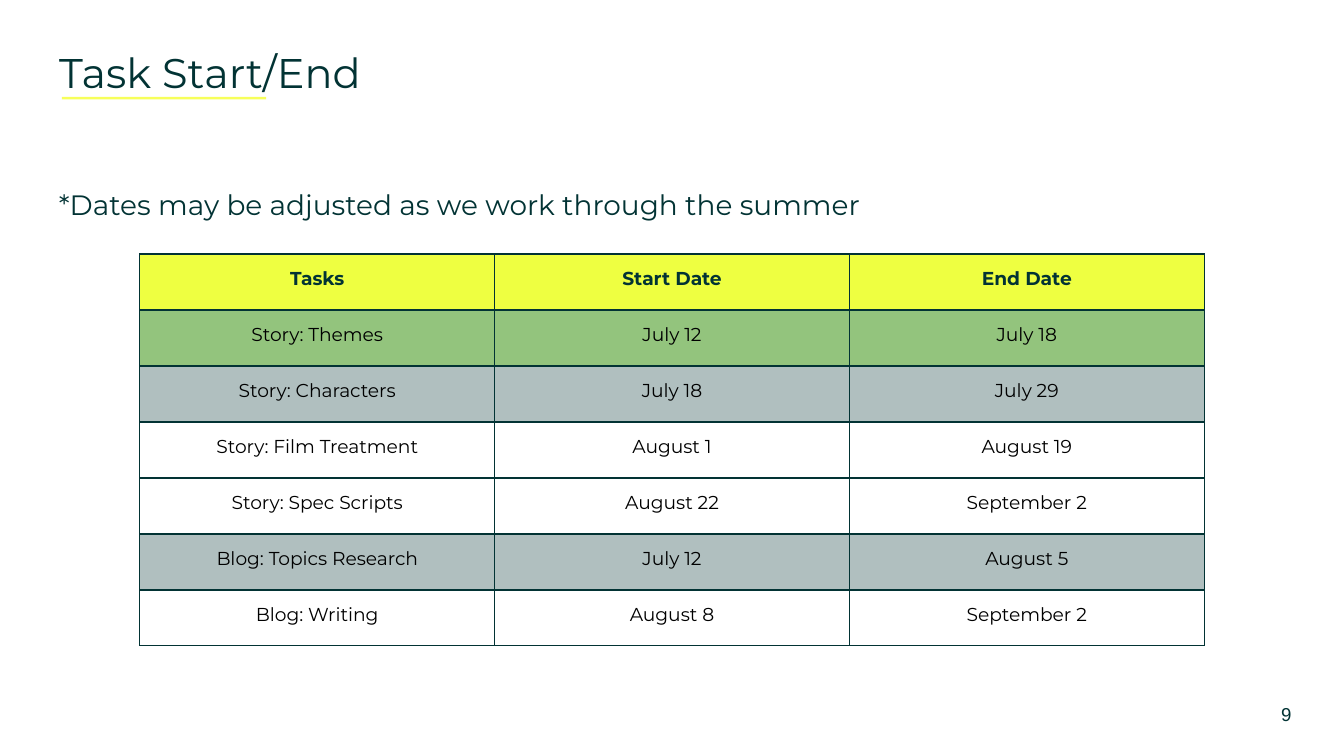
from lxml.etree import SubElement
from pptx import Presentation
from pptx.dml.color import RGBColor
from pptx.enum.shapes import MSO_SHAPE
from pptx.enum.text import MSO_ANCHOR, PP_ALIGN
from pptx.oxml.ns import qn
from pptx.util import Inches, Pt

INK = RGBColor(0x02, 0x33, 0x34)
BLACK = RGBColor(0, 0, 0)
LEMON = RGBColor(0xF7, 0xFF, 0x5A)
YELLOW = RGBColor(0xEE, 0xFF, 0x41)
GREEN = RGBColor(0x93, 0xC4, 0x7D)
TEAL = RGBColor(0x03, 0x33, 0x33)

TITLE = "Task Start/End"
NOTE = "*Dates may be adjusted as we work through the summer"
PAGE = "9"
# Row fill, opacity in percent, cell texts
ROWS = [
    (YELLOW, 100, ("Tasks", "Start Date", "End Date")),
    (GREEN, 100, ("Story: Themes", "July 12", "July 18")),
    (TEAL, 31, ("Story: Characters", "July 18", "July 29")),
    (None, 100, ("Story: Film Treatment", "August 1", "August 19")),
    (None, 100, ("Story: Spec Scripts", "August 22", "September 2")),
    (TEAL, 31, ("Blog: Topics Research", "July 12", "August 5")),
    (None, 100, ("Blog: Writing", "August 8", "September 2")),
]
WIDE = 10
HIGH = WIDE * 9 / 16
LEFT, SPAN = 0.34, 9.32
COL, ROW = 2.64, HIGH * 2 / 27
PAD = Inches(0.1)


def place(shape, *box):
    shape.left, shape.top, shape.width, shape.height = map(Inches, box)


def write(frame, text, size=10, font="Montserrat", color=INK, bold=False,
          align=PP_ALIGN.LEFT, anchor=MSO_ANCHOR.TOP):
    frame.word_wrap = True
    frame.vertical_anchor = anchor
    frame.margin_left = frame.margin_right = PAD
    frame.margin_top = frame.margin_bottom = PAD
    para = frame.paragraphs[0]
    para.alignment = align
    run = para.add_run()
    run.text = text
    run.font.name, run.font.size, run.font.bold = font, Pt(size), bold
    run.font.color.rgb = color
    return para


def border(cell, color, width):
    props = cell._tc.get_or_add_tcPr()
    for side in ("a:lnL", "a:lnR", "a:lnT", "a:lnB"):
        line = SubElement(props, qn(side), w=str(Pt(width)))
        fill = SubElement(line, qn("a:solidFill"))
        SubElement(fill, qn("a:srgbClr"), val=str(color))


def paint(cell, color, share):
    """Fill a cell with a colour at an opacity in percent, or leave it clear."""
    if color is None:
        cell.fill.background()
        return
    cell.fill.solid()
    cell.fill.fore_color.rgb = color
    if share < 100:
        tint = cell._tc.tcPr.find(qn("a:solidFill"))[0]
        SubElement(tint, qn("a:alpha"), val=str(share * 1000))


def add_tasks(slide):
    count = len(ROWS[0][2])
    width = COL * count
    grid = slide.shapes.add_table(
        len(ROWS), count, Inches((WIDE - width) / 2), Inches(1.89),
        Inches(width), Inches(ROW * len(ROWS))).table
    for r, (color, share, texts) in enumerate(ROWS):
        head = r == 0
        grid.rows[r].height = Inches(ROW)
        for c, text in enumerate(texts):
            cell = grid.cell(r, c)
            border(cell, INK, 0.75)
            paint(cell, color, share)
            cell.margin_left = cell.margin_right = PAD
            cell.margin_top = cell.margin_bottom = PAD
            write(cell.text_frame, text, color=INK if head else BLACK,
                  bold=head, align=PP_ALIGN.CENTER)


def main():
    deck = Presentation()
    deck.slide_width, deck.slide_height = Inches(WIDE), Inches(HIGH)
    slide = deck.slides.add_slide(deck.slide_layouts[5])
    shapes = slide.shapes

    place(shapes.title, LEFT, 0.25, SPAN, 0.63)
    write(shapes.title.text_frame, TITLE, size=22.2)

    rule = shapes.add_shape(MSO_SHAPE.RECTANGLE, 0, 0, 0, 0)
    place(rule, 0.46, 0.72, 1.52, 0.02)
    rule.shadow.inherit = False
    rule.fill.solid()
    rule.fill.fore_color.rgb = LEMON
    rule.line.fill.background()

    page = shapes.add_textbox(0, 0, 0, 0)
    place(page, 9.27, 5.1, 0.6, 0.43)
    write(page.text_frame, PAGE, font="Arial", align=PP_ALIGN.CENTER,
          anchor=MSO_ANCHOR.MIDDLE)

    add_tasks(slide)

    note = shapes.add_textbox(0, 0, 0, 0)
    place(note, LEFT, 1.26, SPAN, 0.51)
    para = write(note.text_frame, NOTE, size=15)
    para.line_spacing, para.space_after = 1.15, Pt(12)

    deck.save("out.pptx")


if __name__ == "__main__":
    main()
